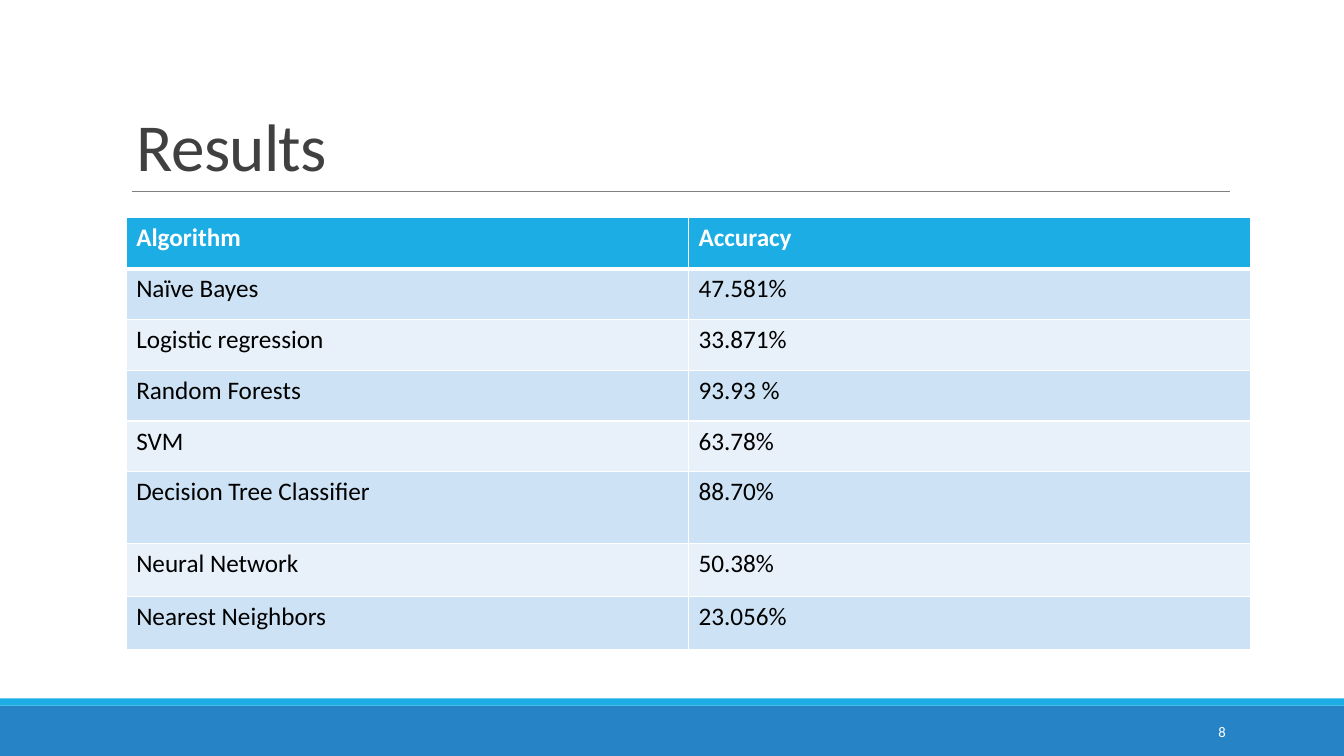
from dataclasses import dataclass

from lxml import etree
from pptx import Presentation
from pptx import util as u
from pptx.dml.color import RGBColor
from pptx.enum import shapes, text
from pptx.oxml import ns


@dataclass(frozen=True)
class Theme:
    font: str = "Calibri"
    accent: str = "1CADE4"
    footer: str = "2683C6"
    rule: str = "808080"
    title: str = "404040"
    body: str = "000000"
    white: str = "FFFFFF"
    bands: tuple = ("CDE3F5", "E8F1FA")
    title_size: float = 48
    body_size: float = 18
    number_size: float = 10.5


THEME = Theme()

RESULTS = [
    ("Algorithm", "Accuracy"),
    ("Naïve Bayes", "47.581%"),
    ("Logistic regression", "33.871%"),
    ("Random Forests", "93.93 %"),
    ("SVM", "63.78%"),
    ("Decision Tree Classifier", "88.70%"),
    ("Neural Network", "50.38%"),
    ("Nearest Neighbors", "23.056%"),
]
ROW_HEIGHTS = [1.28] * 5 + [1.81] + [1.34] * 2
COLUMN_WIDTH = 14.17


def write(frame, content, *, size, color, bold=False, align=None,
          line_spacing=None, tracking=None):
    """Fill a text frame with one formatted paragraph; tracking is in points."""
    para = frame.paragraphs[0]
    para.alignment = align
    para.line_spacing = line_spacing
    span = para.add_run()
    span.text = content
    span.font.name = THEME.font
    span.font.size = u.Pt(size)
    span.font.bold = bold
    span.font.color.rgb = RGBColor.from_string(color)
    if tracking is not None:
        span._r.get_or_add_rPr().set("spc", str(round(tracking * 100)))


def add_text(page, content, left, top, width, height, *, anchor, **style):
    box = page.shapes.add_textbox(u.Cm(left), u.Cm(top), u.Cm(width), u.Cm(height))
    box.text_frame.word_wrap = True
    box.text_frame.vertical_anchor = anchor
    write(box.text_frame, content, **style)


def add_bar(page, top, height, color):
    """Draw a plain bar across the full slide width."""
    bar = page.shapes.add_shape(
        shapes.MSO_SHAPE.RECTANGLE, 0, u.Cm(top), u.Cm(33.87), u.Cm(height))
    bar.shadow.inherit = False
    bar.fill.solid()
    bar.fill.fore_color.rgb = RGBColor.from_string(color)
    bar.line.fill.background()


def add_rule(page, left, right, top):
    rule = page.shapes.add_connector(
        shapes.MSO_CONNECTOR.STRAIGHT, u.Cm(left), u.Cm(top), u.Cm(right), u.Cm(top))
    rule.line.color.rgb = RGBColor.from_string(THEME.rule)
    rule.line.width = u.Pt(0.5)
    etree.SubElement(rule._element.spPr, ns.qn("a:effectLst"))


def set_borders(cell, **widths):
    """Give the cell white borders; widths in points, keyed L, R, T, B in that order."""
    properties = cell._tc.get_or_add_tcPr()
    for place, (side, width) in enumerate(widths.items()):
        line = etree.Element(ns.qn(f"a:ln{side}"), w=str(u.Pt(width)))
        fill = etree.SubElement(line, ns.qn("a:solidFill"))
        etree.SubElement(fill, ns.qn("a:srgbClr"), val=THEME.white)
        properties.insert(place, line)


def add_results_table(page, left, top):
    columns = len(RESULTS[0])
    table = page.shapes.add_table(
        len(RESULTS), columns, u.Cm(left), u.Cm(top),
        u.Cm(COLUMN_WIDTH * columns), u.Cm(sum(ROW_HEIGHTS))).table
    for column in table.columns:
        column.width = u.Cm(COLUMN_WIDTH)
    for index, (values, height) in enumerate(zip(RESULTS, ROW_HEIGHTS)):
        table.rows[index].height = u.Cm(height)
        header = index == 0
        fill = THEME.accent if header else THEME.bands[(index - 1) % 2]
        for cell, value in zip(table.rows[index].cells, values):
            cell.fill.solid()
            cell.fill.fore_color.rgb = RGBColor.from_string(fill)
            set_borders(cell, L=1, R=1, T=3 if index == 1 else 1, B=3 if header else 1)
            write(cell.text_frame, value, size=THEME.body_size, bold=header,
                  color=THEME.white if header else THEME.body)


def main():
    deck = Presentation()
    deck.slide_width, deck.slide_height = u.Cm(33.87), u.Cm(19.05)
    page = deck.slides.add_slide(deck.slide_layouts[6])

    add_bar(page, 17.78, 1.27, THEME.footer)
    add_bar(page, 17.6, 0.18, THEME.accent)
    add_rule(page, 3.32, 31, 4.82)
    add_text(page, "Results", 3.2, 0.76, 27.94, 4.04,
             anchor=text.MSO_ANCHOR.BOTTOM, size=THEME.title_size,
             color=THEME.title, line_spacing=0.85, tracking=-0.5)
    add_results_table(page, 3.18, 5.49)
    add_text(page, "8", 27.51, 17.94, 3.63, 1.01,
             anchor=text.MSO_ANCHOR.MIDDLE, size=THEME.number_size,
             color=THEME.white, align=text.PP_ALIGN.RIGHT)

    deck.save("out.pptx")


if __name__ == "__main__":
    main()
